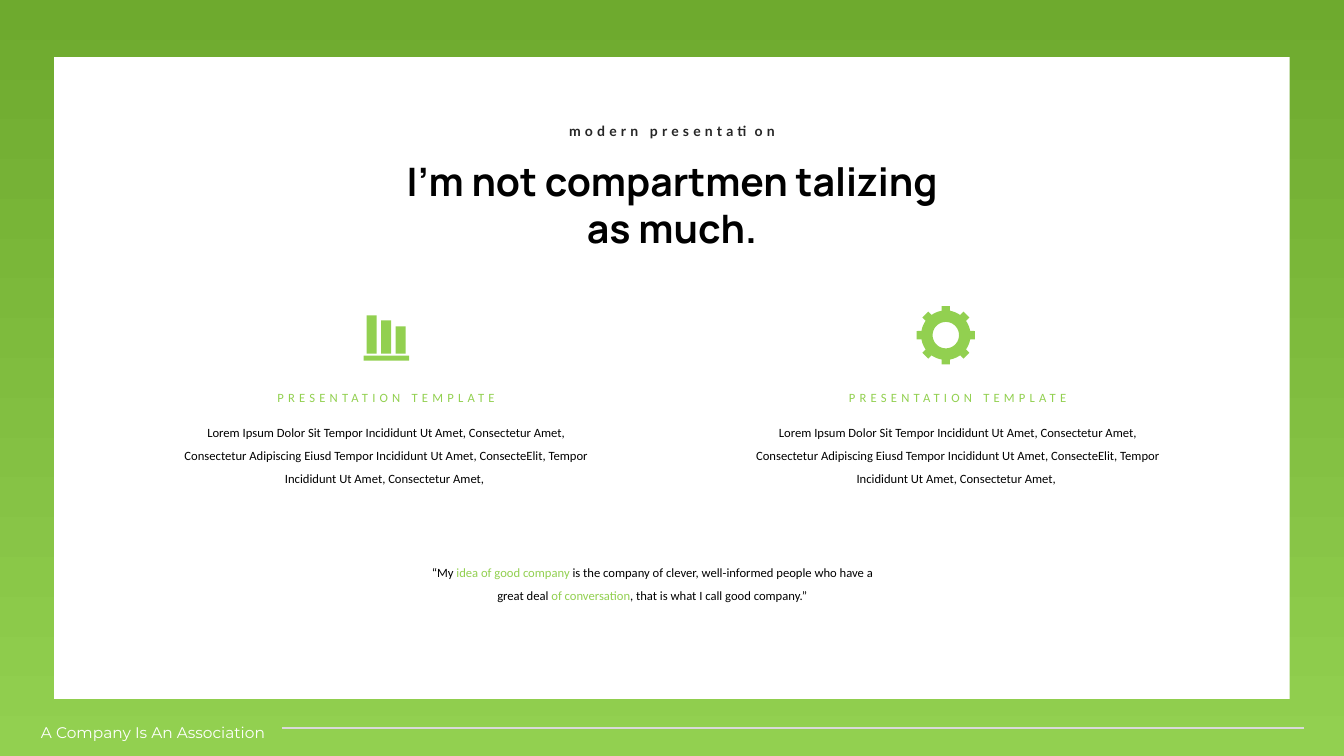
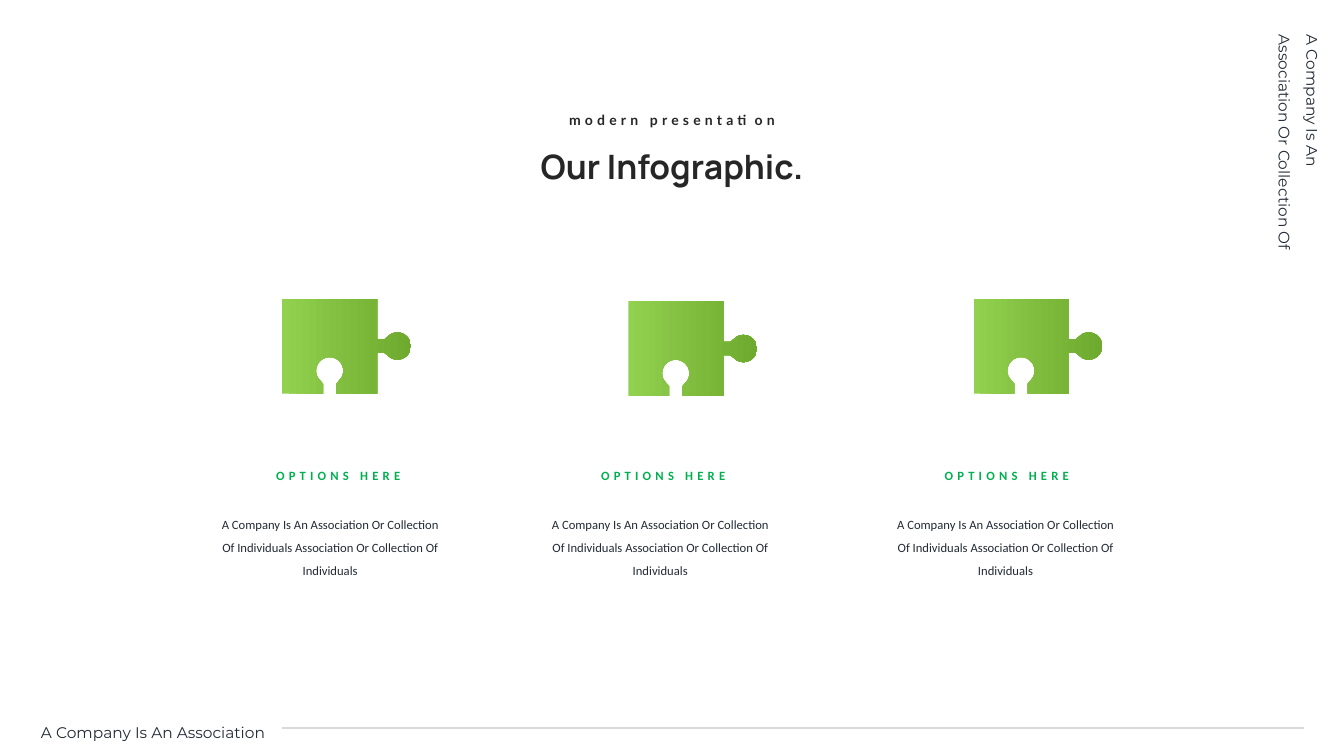
"""Two green slides, laid out on a grid of 160 columns and 90 rows."""
import math

import pptx
import pptx.dml.color
import pptx.enum.shapes
import pptx.enum.text
import pptx.oxml.ns
import pptx.util
from lxml import etree

RGB = pptx.dml.color.RGBColor
SHAPE = pptx.enum.shapes.MSO_SHAPE
ALIGN = pptx.enum.text.PP_ALIGN
LIME = RGB(0x92, 0xD0, 0x50)
MOSS = RGB(0x6E, 0xAA, 0x2E)
LEAF = RGB(0x00, 0xB0, 0x50)
WHITE = RGB(0xFF, 0xFF, 0xFF)
BLACK = RGB(0x00, 0x00, 0x00)
COAL = RGB(0x26, 0x26, 0x26)
SLATE = RGB(0x22, 0x2A, 0x35)
SILVER = RGB(0xD9, 0xD9, 0xD9)

COLS, ROWS = 160, 90
CELL = pptx.util.Inches(1) / 12

BRAND = "A Company Is An Association"
LOREM = (
    "Lorem Ipsum Dolor Sit Tempor Incididunt Ut Amet, Consectetur Amet, "
    "Consectetur Adipiscing Eiusd Tempor Incididunt Ut Amet, ConsecteElit, "
    "Tempor Incididunt Ut Amet, Consectetur Amet, "
)
OPTION = BRAND + " Or Collection Of Individuals Association Or Collection Of Individuals"
QUOTE = [
    ("“My ", BLACK),
    ("idea of good company ", LIME),
    ("is the company of clever, well-informed people who have a great deal ", BLACK),
    ("of conversation", LIME),
    (", that is what I call good company.”", BLACK),
]


def emu(*cells):
    """Turn grid cells into slide units."""
    return [pptx.util.Emu(round(cell * CELL)) for cell in cells]


def paint(shape, color, end=None, angle=0):
    """Fill a shape plainly, or with a gradient when an end colour is given."""
    shape.shadow.inherit = False
    shape.line.fill.background()
    if end is None:
        shape.fill.solid()
        shape.fill.fore_color.rgb = color
        return
    shape.fill.gradient()
    shape.fill.gradient_angle = angle
    for stop, tint in zip(shape.fill.gradient_stops, (color, end)):
        stop.color.rgb = tint


def block(slide, box, *look):
    """Draw a filled rectangle."""
    paint(slide.shapes.add_shape(SHAPE.RECTANGLE, *emu(*box)), *look)


def trace(slide, rings, *look):
    """Draw closed outlines as one filled shape."""
    first, *rest = [[emu(*point) for point in ring] for ring in rings]
    pen = slide.shapes.build_freeform(*first[0], scale=1.0)
    pen.add_line_segments(first[1:], close=True)
    for ring in rest:
        pen.move_to(*ring[0])
        pen.add_line_segments(ring[1:], close=True)
    paint(pen.convert_to_shape(), *look)


def write(slide, box, parts, size, font, bold=False, align=ALIGN.CENTER,
          lead=1.5, track=0):
    """Place a text box made of coloured parts and return it."""
    area = slide.shapes.add_textbox(*emu(*box))
    frame = area.text_frame
    frame.word_wrap = True
    frame.auto_size = pptx.enum.text.MSO_AUTO_SIZE.SHAPE_TO_FIT_TEXT
    para = frame.paragraphs[0]
    para.alignment = align
    if lead:
        para.line_spacing = lead
    for text, color in parts:
        run = para.add_run()
        run.text = text
        run.font.size = pptx.util.Pt(size)
        run.font.name = font
        run.font.bold = bold
        run.font.color.rgb = color
        if track:
            run.font._element.set("spc", str(track * 100))
    return area


def header(slide, box, title, size, color):
    """Place the kicker and the title below it."""
    left, top, wide, high = box
    write(slide, (left + 17.2, top, wide - 34.4, 3.2), [("modern presentation", COAL)],
          10, "Lato", True, lead=None, track=3)
    write(slide, (left, top + 4.1, wide, high - 4.1), [(title, color)],
          size, "Manrope", True, lead=None)


def footer(slide, box, color):
    """Place the footer words and the rule beside them."""
    left, top, wide, high = box
    write(slide, (left, top, 52.3, high), [(BRAND, color)], 11, "Montserrat",
          align=ALIGN.LEFT)
    rule = slide.shapes.add_connector(
        pptx.enum.shapes.MSO_CONNECTOR.STRAIGHT,
        *emu(left + wide, top + 2.25, left + 29.9, top + 2.25))
    rule.line.color.rgb = SILVER
    rule.line.width = pptx.util.Pt(1.5)
    etree.SubElement(rule._element.spPr, pptx.oxml.ns.qn("a:effectLst"))


def bars(slide, box):
    """Draw the bar icon, standing on its base."""
    left, top, wide, high = box
    block(slide, (left, top + high - 0.6, wide, 0.6), LIME)
    floor = top + high - 0.85
    for step, tall in enumerate((4.55, 3.95, 3.25)):
        block(slide, (left + 0.35 + 1.73 * step, floor - tall, 1.2, tall), LIME)


def polar(mid, radius, angle):
    """Give the point at an angle in degrees around a centre."""
    turn = math.radians(angle)
    return mid[0] + radius * math.cos(turn), mid[1] + radius * math.sin(turn)


def gear(slide, box):
    """Draw the gear icon with eight teeth."""
    left, top, wide, high = box
    mid, reach = (left + wide / 2, top + high / 2), wide / 2
    half = math.degrees(math.asin(0.14))
    root = math.degrees(math.asin(0.17))
    rim = []
    for tooth in range(0, 360, 45):
        rim += [polar(mid, reach, tooth + turn) for turn in (-half, half)]
        gap = (45 - 2 * root) / 6
        rim += [polar(mid, reach * 0.84, tooth + root + gap * step) for step in range(7)]
    hole = [polar(mid, reach * 0.45, turn) for turn in range(0, 360, 10)]
    trace(slide, [rim, hole], LIME)


def knob(neck):
    """Give the outline of a puzzle knob as pairs of reach and offset."""
    ball = [polar((neck + 1.56, 0), 1.62, turn) for turn in range(-120, 121, 10)]
    return [(0, -0.78), (neck, -0.78), *ball, (neck, 0.78), (0, 0.78)]


def puzzle(slide, box):
    """Draw a puzzle piece with a knob at the right and a notch below."""
    left, top, side, high = box
    tab = [(side + out, high / 2 + off) for out, off in knob(0.84)]
    notch = [(side / 2 - off, high - out) for out, off in knob(1.14)]
    ring = [(0, 0), (side, 0), *tab, (side, high), *notch, (0, high)]
    trace(slide, [[(left + x, top + y) for x, y in ring]], LIME, MOSS, 0)


def feature(slide, box):
    """Place a spaced label over a paragraph."""
    left, top, wide, high = box
    write(slide, (left, top, wide, 4), [("PRESENTATION TEMPLATE", LIME)],
          9, "Calibri", track=3)
    write(slide, (left, top + 4.2, wide, high - 4.2), [(LOREM, BLACK)], 9, "Calibri")


def option(slide, box, shift):
    """Place an option label, shifted from the left, over its paragraph."""
    left, top, wide, high = box
    label = write(slide, (left + shift, top, 20.9, 1.8), [("OPTIONS HERE", LEAF)],
                  9, "Calibri", True, lead=None, track=3)
    frame = label.text_frame
    frame.vertical_anchor = pptx.enum.text.MSO_ANCHOR.MIDDLE
    frame.margin_left = frame.margin_right = frame.margin_top = frame.margin_bottom = 0
    frame.paragraphs[0].space_after = pptx.util.Pt(12)
    write(slide, (left, top + 4.4, wide, high - 4.4), [(OPTION, SLATE)], 9, "Calibri")


def framed(slide):
    """Build the slide with a white panel on green."""
    block(slide, (0, 0, COLS, ROWS), MOSS, LIME, 270)
    block(slide, (6.45, 6.8, 147.1, 76.4), WHITE)
    write(slide, (49.1, 65.8, 57.1, 6.7), QUOTE, 9, "Calibri")
    footer(slide, (3.7, 84.4, 151.6, 4.2), WHITE)
    for left in (20.4, 88.45):
        feature(slide, (left, 44.9, 51.1, 13.6))
    bars(slide, (43.3, 37.5, 5.4, 5.45))
    gear(slide, (109.1, 36.4, 7, 7))
    header(slide, (47.2, 14, 65.6, 16.6), "I’m not compartmen talizing as much.", 28, BLACK)


def graphic(slide):
    """Build the slide with three puzzle pieces."""
    for left, shift, piece, top in ((25, 4.8, 33.6, 35.55), (64.3, 4.2, 74.8, 35.85),
                                    (105.4, 4, 115.9, 35.55)):
        puzzle(slide, (piece, top, 11.3, 11.3))
        option(slide, (left, 55.7, 28.6, 13.8), shift)
    footer(slide, (3.7, 84.4, 151.6, 4.2), SLATE)
    side = write(slide, (140.9, 13.7, 28.9, 7.4), [(BRAND + " Or Collection Of", SLATE)],
                 11, "Montserrat", align=ALIGN.LEFT)
    side.rotation = 90
    header(slide, (47.2, 12.7, 65.6, 10.1), "Our Infographic.", 24, COAL)


def main():
    """Build and save both slides."""
    deck = pptx.Presentation()
    deck.slide_width, deck.slide_height = emu(COLS, ROWS)
    for build in (framed, graphic):
        build(deck.slides.add_slide(deck.slide_layouts[6]))
    deck.save("out.pptx")


if __name__ == "__main__":
    main()
